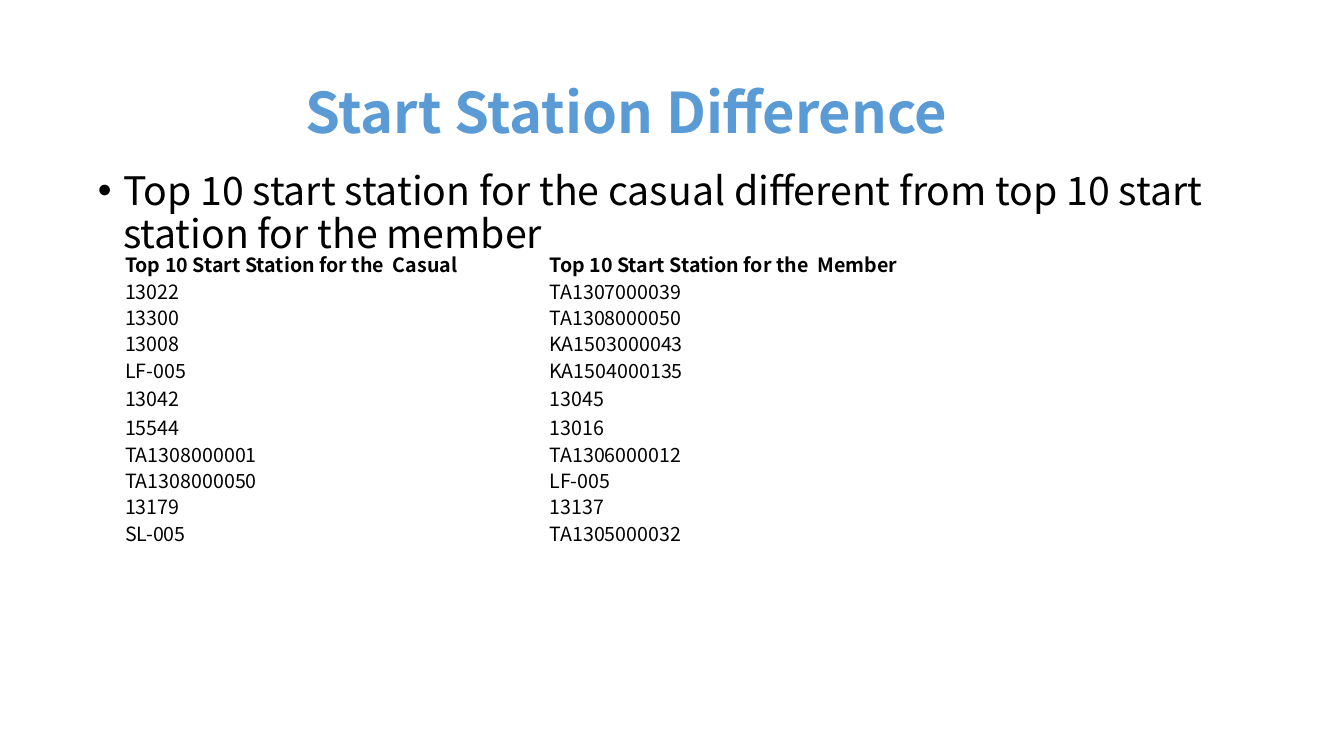
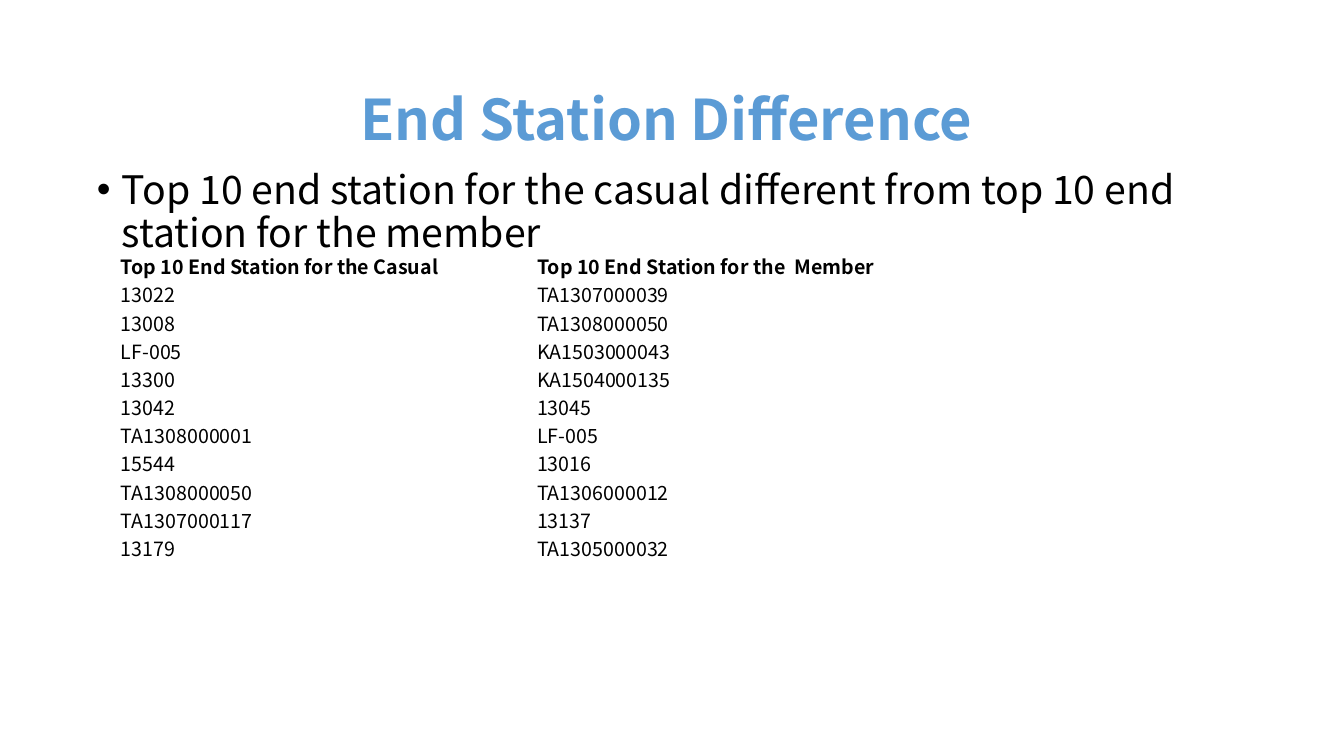
from pptx import Presentation
from pptx import util as u
from pptx.dml.color import RGBColor
from pptx.enum import text

WIDTH, HEIGHT = u.Inches(13.33), u.Inches(7.5)
BLUE = RGBColor(0x5B, 0x9B, 0xD5)
BLACK = RGBColor(0x00, 0x00, 0x00)
TITLE_FONT, BODY_FONT = "Noto Sans CJK SC", "Noto Sans CJK TC"
SINGLE, TIGHT = 1.2, 1.08

SLIDES = [
    {
        "title": "Start Station Difference",
        "title_box": (7.72, 10.4, 77.78, 9.47),
        "point": "Top 10 start station for the casual different from top 10 start station for the member",
        "point_box": (6.53, 22, 86.25, 63.47),
        "corner": (9.23, 33.47),
        "columns": (31.58, 32.85),
        "rows": [3.49] * 5 + [4.13] + [3.49] * 5,
        "casual": ["Top 10 Start Station for the  Casual", "13022", "13300", "13008", "LF-005", "13042",
                   "15544", "TA1308000001", "TA1308000050", "13179", "SL-005"],
        "member": ["Top 10 Start Station for the  Member", "TA1307000039", "TA1308000050",
                   "KA1503000043", "KA1504000135", "13045", "13016", "TA1306000012", "LF-005",
                   "13137", "TA1305000032"],
    },
    {
        "title": "End Station Difference",
        "title_box": (6.45, 11.33, 86.25, 9.47),
        "point": "Top 10 end station for the casual different from top 10 end station for the member",
        "point_box": (6.45, 21.87, 86.25, 71.47),
        "corner": (8.92, 33.6),
        "columns": (30.97, 33.98),
        "rows": [3.73] * 11,
        "casual": ["Top 10 End Station for the Casual", "13022", "13008", "LF-005", "13300", "13042",
                   "TA1308000001", "15544", "TA1308000050", "TA1307000117", "13179"],
        "member": ["Top 10 End Station for the  Member", "TA1307000039", "TA1308000050",
                   "KA1503000043", "KA1504000135", "13045", "LF-005", "13016", "TA1306000012",
                   "13137", "TA1305000032"],
    },
]


def across(percent):
    """Return a percentage of the slide's width."""
    return round(WIDTH * percent / 100)


def down(percent):
    """Return a percentage of the slide's height."""
    return round(HEIGHT * percent / 100)


def style(para, size, font, color, bold=False, pitch=SINGLE):
    """Format a paragraph, with its line pitch in ems."""
    para.font.size = u.Pt(size)
    para.font.name = font
    para.font.color.rgb = color
    para.font.bold = bold
    para.line_spacing = u.Pt(round(size * pitch, 1))


def fill_placeholder(shape, box, words):
    """Move a placeholder into its box, write its words and return the paragraph."""
    left, top, width, height = box
    shape.left, shape.top = across(left), down(top)
    shape.width, shape.height = across(width), down(height)
    frame = shape.text_frame
    frame.text = words
    frame.word_wrap = True
    frame.auto_size = text.MSO_AUTO_SIZE.NONE
    return frame.paragraphs[0]


def add_title(page, box, words):
    """Write the centred blue title."""
    para = fill_placeholder(page.shapes.title, box, words)
    page.shapes.title.text_frame.vertical_anchor = text.MSO_ANCHOR.MIDDLE
    para.alignment = text.PP_ALIGN.CENTER
    style(para, 40, TITLE_FONT, BLUE, bold=True, pitch=TIGHT)


def add_point(page, box, words):
    """Write the bulleted statement."""
    para = fill_placeholder(page.placeholders[1], box, words)
    style(para, 28, BODY_FONT, BLACK, pitch=TIGHT)
    para.space_before = u.Pt(10)
    properties = para._p.get_or_add_pPr()
    properties.set("marL", str(u.Inches(0.25)))
    properties.set("indent", str(-u.Inches(0.25)))


def add_stations(page, corner, columns, rows, stations):
    """Add the plain table with one column of stations per rider type."""
    left, top = corner
    frame = page.shapes.add_table(len(rows), len(columns), across(left), down(top),
                                  across(sum(columns)), down(sum(rows)))
    table = frame.table
    table.first_row = table.horz_banding = False
    for row, height in zip(table.rows, rows):
        row.height = down(height)
    for index, (width, names) in enumerate(zip(columns, stations)):
        table.columns[index].width = across(width)
        for line, name in enumerate(names):
            cell = table.cell(line, index)
            cell.fill.background()
            cell.vertical_anchor = text.MSO_ANCHOR.MIDDLE
            cell.margin_left = cell.margin_right = cell.margin_top = u.Inches(0.01)
            cell.margin_bottom = 0
            cell.text = name
            style(cell.text_frame.paragraphs[0], 14, BODY_FONT, BLACK, bold=line == 0)


def add_comparison(deck, content):
    """Add one slide comparing the stations of casual riders and members."""
    page = deck.slides.add_slide(deck.slide_layouts[1])
    add_title(page, content["title_box"], content["title"])
    add_point(page, content["point_box"], content["point"])
    add_stations(page, content["corner"], content["columns"], content["rows"],
                 (content["casual"], content["member"]))


def main():
    """Build and save the deck."""
    deck = Presentation()
    deck.slide_width, deck.slide_height = WIDTH, HEIGHT
    for content in SLIDES:
        add_comparison(deck, content)
    deck.save("out.pptx")


if __name__ == "__main__":
    main()
